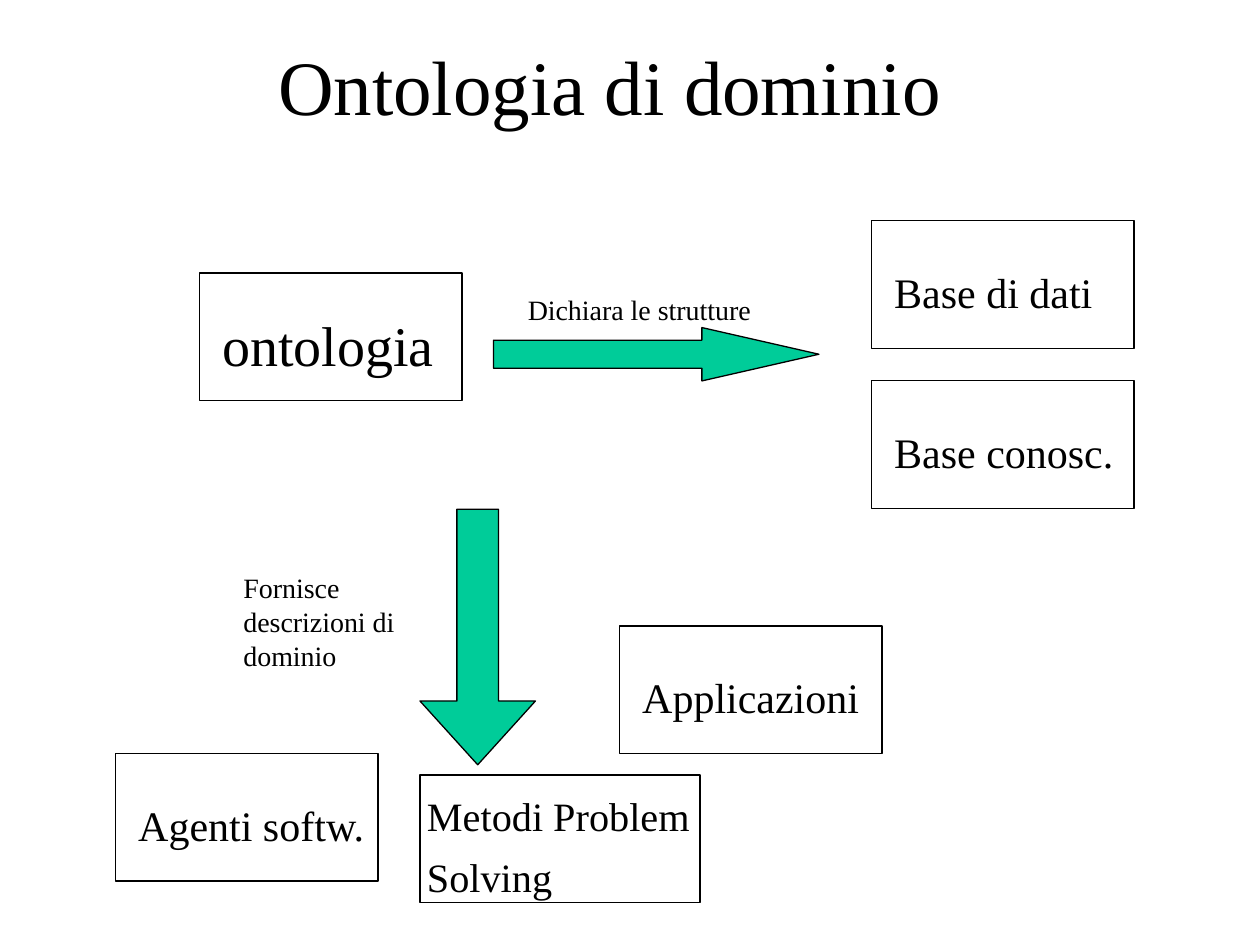
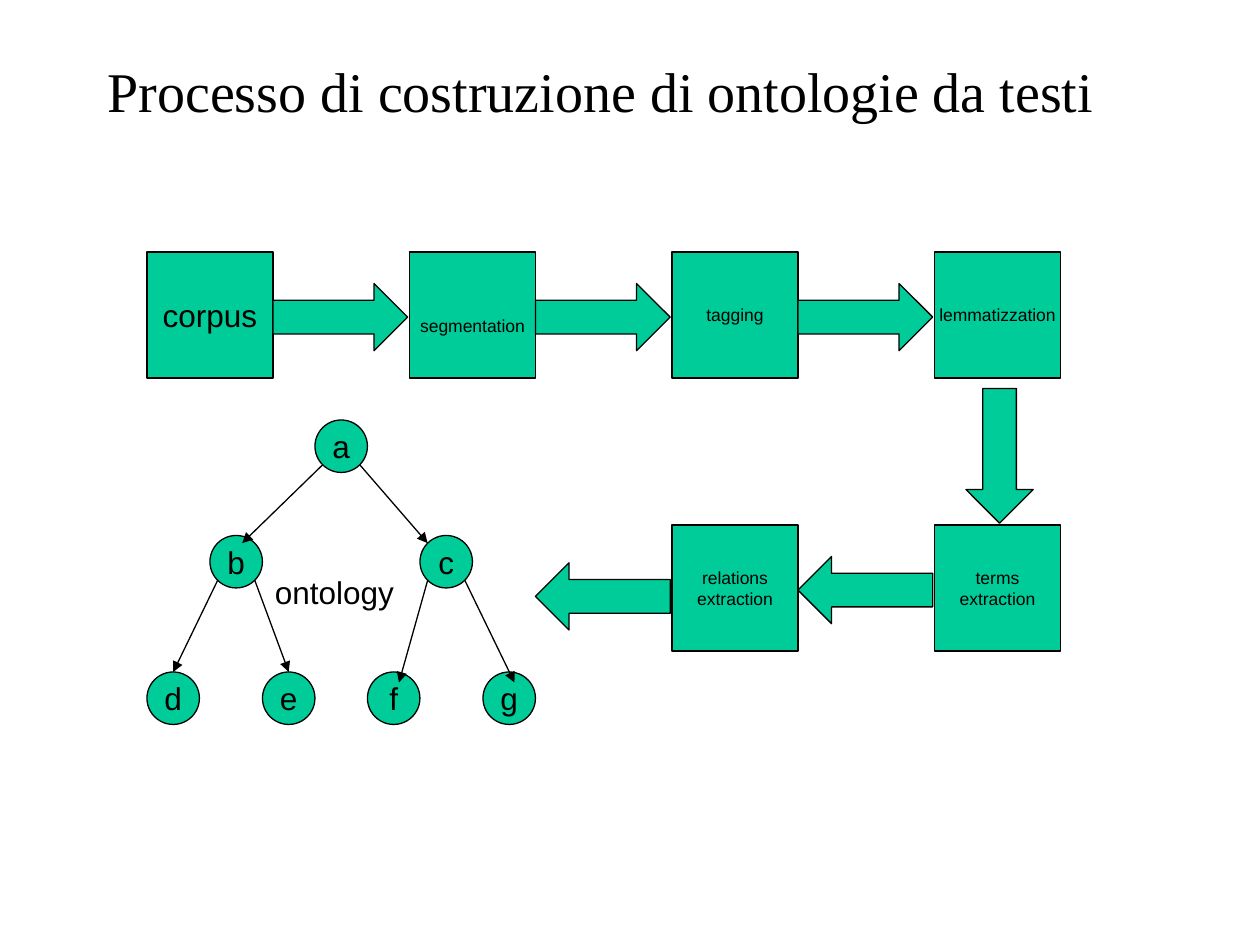
from dataclasses import dataclass
from math import sqrt

from lxml.etree import SubElement
from pptx import Presentation
from pptx.dml.color import RGBColor
from pptx.enum.shapes import MSO_CONNECTOR, MSO_SHAPE
from pptx.enum.text import MSO_ANCHOR, MSO_AUTO_SIZE, PP_ALIGN
from pptx.oxml.ns import qn
from pptx.util import Pt


@dataclass(frozen=True)
class Theme:
    ink: RGBColor = RGBColor(0, 0, 0)
    green: RGBColor = RGBColor(0x00, 0xCC, 0x99)
    serif: str = "Times New Roman"
    sans: str = "Arial"
    outline: float = 0.75
    title: int = 44
    long_title: int = 32
    concept: int = 32
    box: int = 24
    small_box: int = 23
    label: int = 16
    node: int = 18
    step: int = 10


THEME = Theme()
BOX_WIDTH, BOX_HEIGHT = 150, 73
STEP, PITCH, ROW_DROP = 72, 150, 156
ARROW_LENGTH, ARROW_WIDTH = 77, 38.4
NODE = 30


def write(frame, text, size, font, align=PP_ALIGN.LEFT, margins=(7.2, 3.6, 7.2, 3.6), gap=0):
    frame.text = text
    frame.word_wrap = True
    frame.auto_size = MSO_AUTO_SIZE.NONE
    frame.margin_left, frame.margin_top, frame.margin_right, frame.margin_bottom = map(Pt, margins)
    for index, paragraph in enumerate(frame.paragraphs):
        paragraph.alignment = align
        if index and gap:
            paragraph.space_before = Pt(gap)
        for run in paragraph.runs:
            run.font.size = Pt(size)
            run.font.name = font
            run.font.color.rgb = THEME.ink


def add_titled_slide(deck, text, size, left, top, width):
    slide = deck.slides.add_slide(deck.slide_layouts[5])
    title = slide.shapes.title
    title.left, title.top, title.width, title.height = map(Pt, (left, top, width, 90))
    write(title.text_frame, text, size, THEME.serif, PP_ALIGN.CENTER)
    title.text_frame.vertical_anchor = MSO_ANCHOR.MIDDLE
    return slide


def add_figure(slide, preset, left, top, width, height, filled=True, adjustments=()):
    figure = slide.shapes.add_shape(preset, *map(Pt, (left, top, width, height)))
    figure.shadow.inherit = False
    if filled:
        figure.fill.solid()
        figure.fill.fore_color.rgb = THEME.green
    else:
        figure.fill.background()
    figure.line.color.rgb = THEME.ink
    figure.line.width = Pt(THEME.outline)
    figure.text_frame.vertical_anchor = MSO_ANCHOR.MIDDLE
    for index, value in enumerate(adjustments):
        figure.adjustments[index] = value
    return figure


def add_label(slide, text, left, top, width, height, size, font):
    label = slide.shapes.add_textbox(*map(Pt, (left, top, width, height)))
    write(label.text_frame, text, size, font)


def add_box(slide, text, left, top, size=THEME.box, width=BOX_WIDTH, indent=13):
    box = add_figure(slide, MSO_SHAPE.RECTANGLE, left, top, width, BOX_HEIGHT, filled=False)
    write(box.text_frame, text, size, THEME.serif, margins=(indent, 8, 0, 0), gap=7)


def add_step(slide, text, left, top, size=THEME.step, drop=0):
    step = add_figure(slide, MSO_SHAPE.RECTANGLE, left, top, STEP, STEP)
    write(step.text_frame, text, size, THEME.sans, PP_ALIGN.CENTER, (0, drop, 0, 0))


def add_flow_arrow(slide, preset, left, top):
    size = (ARROW_LENGTH, ARROW_WIDTH)
    if preset == MSO_SHAPE.DOWN_ARROW:
        size = size[::-1]
    add_figure(slide, preset, left, top, *size, adjustments=(0.5, 0.5))


def add_branch(slide, start, end):
    branch = slide.shapes.add_connector(MSO_CONNECTOR.STRAIGHT, *map(Pt, (*start, *end)))
    branch.line.color.rgb = THEME.ink
    branch.line.width = Pt(THEME.outline)
    SubElement(branch.line._get_or_add_ln(), qn("a:tailEnd"), type="triangle")
    SubElement(branch._element.spPr, qn("a:effectLst"))


def draw_declared_structures(slide, left, top):
    add_box(slide, "ontologia", left, top + 30, THEME.concept)
    add_figure(slide, MSO_SHAPE.RIGHT_ARROW, left + 168, top + 61.2, 186, 30.5,
               adjustments=(0.525, 2.193))
    add_label(slide, "Dichiara le strutture", left + 180.5, top + 37.8, 145, 27,
              THEME.label, THEME.serif)
    for row, base in enumerate(("Base di dati", "Base conosc.")):
        add_box(slide, base, left + 384, top + row * 91.5)


def draw_domain_descriptions(slide, left, top):
    add_box(slide, "Metodi Problem\nSolving", left + 174, top + 151.8,
            THEME.small_box, width=160, indent=4)
    add_box(slide, "Agenti softw.", left, top + 139.5)
    add_box(slide, "Applicazioni", left + 288, top + 66.8)
    add_figure(slide, MSO_SHAPE.DOWN_ARROW, left + 174, top, 66, 146,
               adjustments=(0.36, 0.552))
    add_label(slide, "Fornisce descrizioni di dominio", left + 66, top + 31.7, 108, 65,
              THEME.label, THEME.serif)


def draw_pipeline(slide, left, top):
    columns = [left + column * PITCH for column in range(4)]
    lower = top + ROW_DROP
    add_step(slide, "corpus", columns[0], top, THEME.node)
    add_step(slide, "segmentation", columns[1], top, drop=11.5)
    add_step(slide, "tagging", columns[2], top)
    add_step(slide, "lemmatizzation", columns[3], top)
    add_step(slide, "relations\nextraction", columns[2], lower)
    add_step(slide, "terms\nextraction", columns[3], lower)
    for column in columns[:3]:
        add_flow_arrow(slide, MSO_SHAPE.RIGHT_ARROW, column + STEP, top + 18)
    add_flow_arrow(slide, MSO_SHAPE.DOWN_ARROW, columns[3] + 18, top + 78)
    add_flow_arrow(slide, MSO_SHAPE.LEFT_ARROW, columns[2] + STEP, lower + 18)
    add_flow_arrow(slide, MSO_SHAPE.LEFT_ARROW, columns[1] + STEP, lower + 21.6)


def draw_ontology_tree(slide, left, top):
    nodes = {"a": (96, 0), "b": (36, 66), "c": (156, 66),
             "d": (0, 144), "e": (66, 144), "f": (126, 144), "g": (192, 144)}
    radius = NODE / 2
    diagonal = radius / sqrt(2)
    centres = {}
    for name, (across, down) in nodes.items():
        centres[name] = (left + across + radius, top + down + radius)
        node = add_figure(slide, MSO_SHAPE.OVAL, left + across, top + down, NODE, NODE)
        write(node.text_frame, name, THEME.node, THEME.sans, PP_ALIGN.CENTER, (0, 0, 0, 0))
    branches = (("a", "b", 3.4, -diagonal), ("a", "c", -diagonal, -diagonal),
                ("b", "d", 0, -radius), ("b", "e", 0, -radius),
                ("c", "f", 3, -9), ("c", "g", 3, -9))
    for parent, child, across, down in branches:
        (parent_x, parent_y), (child_x, child_y) = centres[parent], centres[child]
        side = diagonal if child_x > parent_x else -diagonal
        add_branch(slide, (parent_x + side, parent_y + diagonal),
                   (child_x + across, child_y + down))
    add_label(slide, "ontology", left + 66, top + 84, 90, 29, THEME.node, THEME.sans)


def main():
    deck = Presentation()
    deck.slide_width, deck.slide_height = Pt(720), Pt(540)

    domain = add_titled_slide(deck, "Ontologia di dominio", THEME.title, 42.5, 3.4, 612)
    draw_declared_structures(domain, 114, 126)
    draw_domain_descriptions(domain, 66, 291)

    process = add_titled_slide(deck, "Processo di costruzione di ontologie da testi",
                               THEME.long_title, 19.5, 6.6, 648)
    draw_pipeline(process, 84, 144)
    draw_ontology_tree(process, 84, 240)

    deck.save("out.pptx")


if __name__ == "__main__":
    main()
